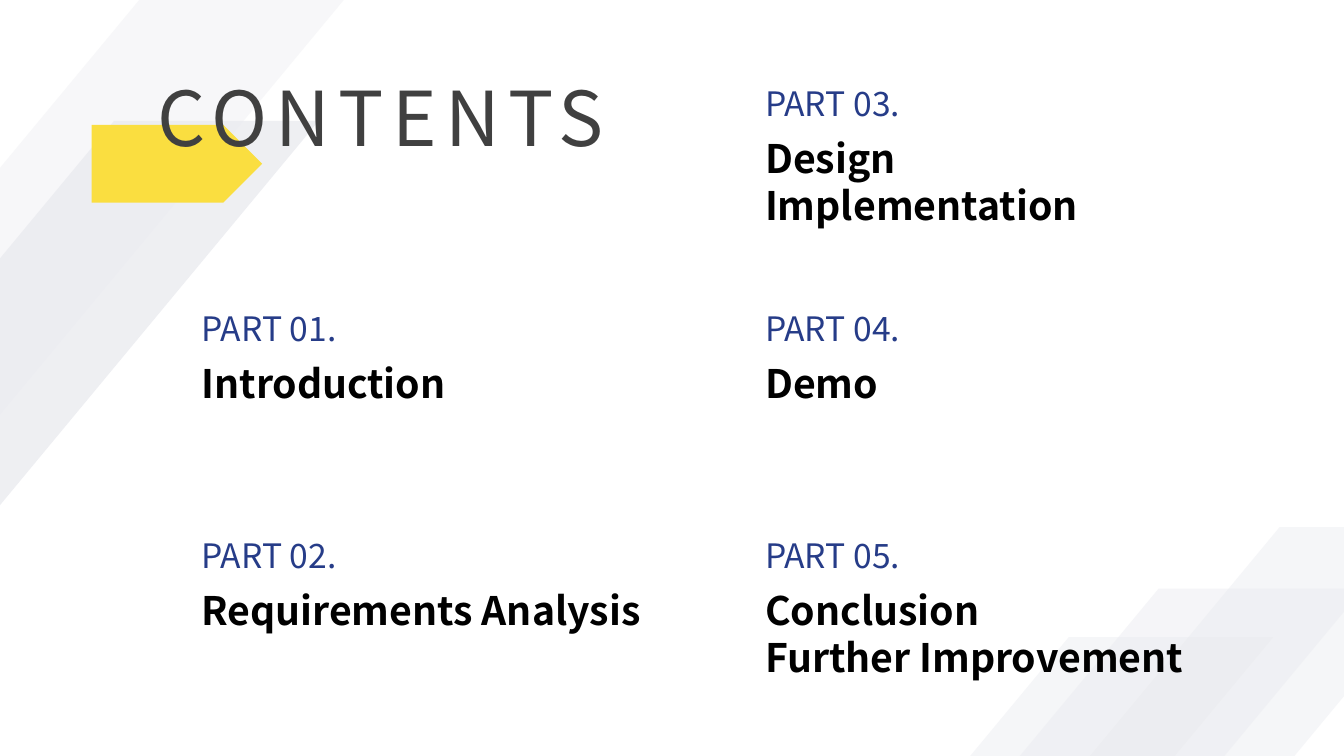
from pptx import Presentation, util as u
from pptx.dml.color import RGBColor
from pptx.enum import shapes, text
from pptx.oxml.ns import qn
from lxml import etree

W, H = 13.33, 7.5
FONT = "Noto Sans CJK SC"
COLUMNS = (1.9, 7.49)
ROWS = (0.77, 3.01, 5.26)
BAND_W, BAND_H = 5.95, 4.73
BANDS = [
    (-2.54, 0, 35),
    (-2.79, 1.2, 76),
    (8.77, 5.23, 41),
    (6.68, 6.32, 41),
    (7.57, 5.84, 43),
]
PARTS = [
    (0, 1, 2.68, ["Introduction"]),
    (0, 2, 4.68, ["Requirements Analysis"]),
    (1, 0, 3.37, ["Design", "Implementation"]),
    (1, 1, 1.38, ["Demo"]),
    (1, 2, 4.46, ["Conclusion", "Further Improvement"]),
]


def color(value):
    return RGBColor.from_string(value)


def add_text(s, lines, x, y, w, h, size, fill, bold=False, spacing=0):
    tf = s.shapes.add_textbox(*map(u.Inches, (x, y, w, h))).text_frame
    tf.word_wrap = True
    tf.auto_size = text.MSO_AUTO_SIZE.SHAPE_TO_FIT_TEXT
    for i, line in enumerate(lines):
        p = tf.paragraphs[0] if i == 0 else tf.add_paragraph()
        r = p.add_run()
        r.text = line
        r.font.name = FONT
        r.font.size = u.Pt(size)
        r.font.bold = bold
        r.font.color.rgb = color(fill)
        if spacing:
            r.font._element.set("spc", str(spacing * 100))


def add_figure(s, kind, x, y, w, h, fill, opacity=100):
    sp = s.shapes.add_shape(kind, *map(u.Inches, (x, y, w, h)))
    sp.shadow.inherit = False
    sp.line.fill.background()
    sp.fill.solid()
    sp.fill.fore_color.rgb = color(fill)
    if opacity < 100:
        clr = sp.fill._xPr.find(".//" + qn("a:srgbClr"))
        etree.SubElement(clr, qn("a:alpha")).set("val", str(opacity * 1000))
    return sp


def add_bands(s):
    for x, y, opacity in BANDS:
        sp = add_figure(s, shapes.MSO_SHAPE.PARALLELOGRAM, x, y,
                        BAND_W, BAND_H, "E9EAEF", opacity)
        sp.adjustments[0] = 0.829


def add_title(s, x, y):
    add_figure(s, shapes.MSO_SHAPE.PENTAGON, x, y + 0.59, 1.69, 0.77, "FADE40")
    add_text(s, ["CONTENTS"], x + 0.55, y, 5.22, 1.01, 54, "404040", spacing=6)


def add_part(s, number, lines, x, y, w):
    add_text(s, [f"PART {number:02}."], x, y, 1.69, 0.5, 24, "263C88")
    add_text(s, lines, x, y + 0.51, w, 0.1 + 0.47 * len(lines), 28, "000000", bold=True)


def main():
    prs = Presentation()
    prs.slide_width, prs.slide_height = u.Inches(W), u.Inches(H)
    s = prs.slides.add_slide(prs.slide_layouts[6])
    add_bands(s)
    add_title(s, 0.91, 0.65)
    for number, (col, row, w, lines) in enumerate(PARTS, 1):
        add_part(s, number, lines, COLUMNS[col], ROWS[row], w)
    prs.save("out.pptx")


if __name__ == "__main__":
    main()
